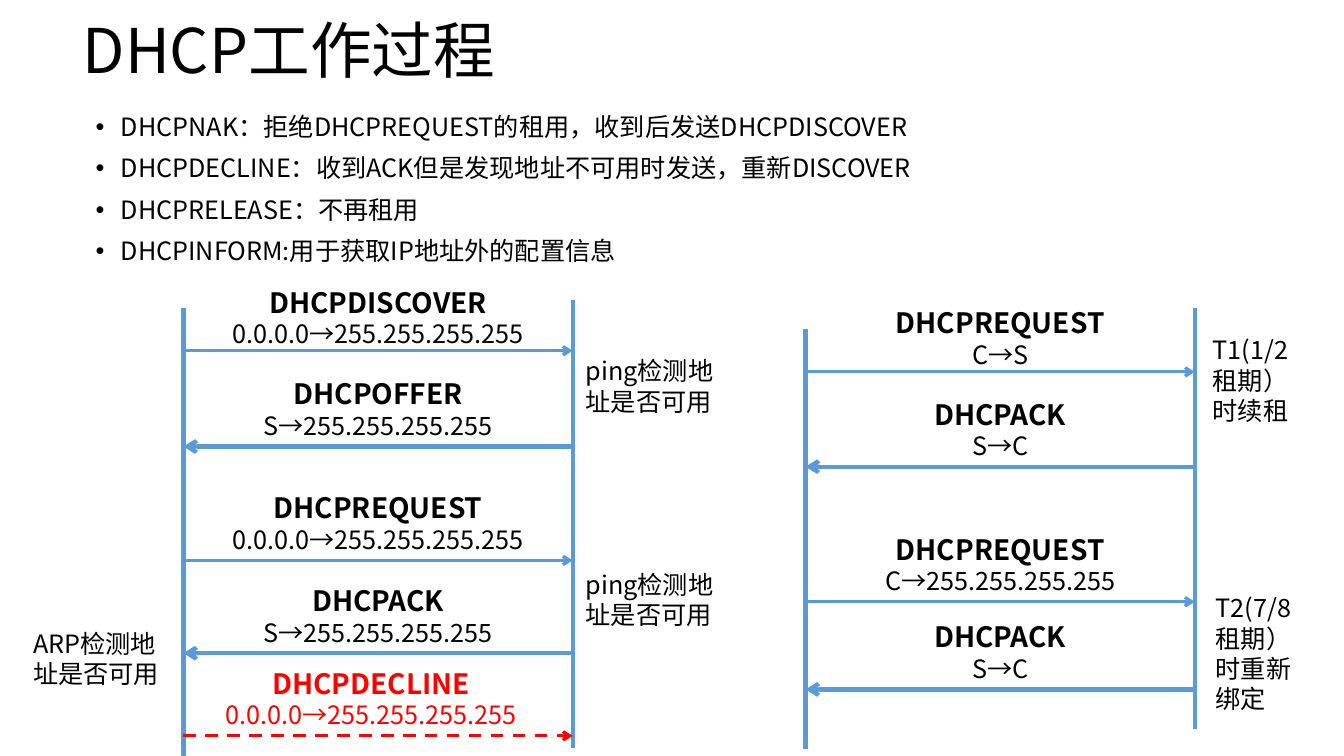
from lxml.etree import SubElement
from pptx import Presentation
from pptx.dml.color import RGBColor as RGB
from pptx.enum.dml import MSO_LINE as Dash
from pptx.enum.shapes import MSO_CONNECTOR as Conn
from pptx.enum.text import MSO_ANCHOR as Anchor, PP_ALIGN as Align
from pptx.oxml.ns import qn
from pptx.util import Inches, Pt

FONT = "Noto Sans CJK SC"
COLORS = {"text": "000000", "line": "5B9BD5", "alert": "FF0000"}
TITLE = "DHCP工作过程"
BULLETS = [
    "DHCPNAK：拒绝DHCPREQUEST的租用，收到后发送DHCPDISCOVER",
    "DHCPDECLINE：收到ACK但是发现地址不可用时发送，重新DISCOVER",
    "DHCPRELEASE：不再租用",
    "DHCPINFORM:用于获取IP地址外的配置信息",
]
BROADCAST = "0.0.0.0→255.255.255.255"
SEQUENCES = [
    {"client": (7.99, 3.26), "server": (11.85, 3.06), "length": 4.17, "messages": [
        ("DHCPREQUEST", "C→S", 3.69, "right"),
        ("DHCPACK", "S→C", 4.63, "left"),
        ("DHCPREQUEST", "C→255.255.255.255", 5.97, "right"),
        ("DHCPACK", "S→C", 6.84, "left"),
    ]},
    {"client": (1.82, 3.06), "server": (5.68, 2.98), "length": 4.44, "messages": [
        ("DHCPDISCOVER", BROADCAST, 3.48, "right"),
        ("DHCPOFFER", "S→255.255.255.255", 4.43, "left"),
        ("DHCPREQUEST", BROADCAST, 5.56, "right"),
        ("DHCPACK", "S→255.255.255.255", 6.48, "left"),
        ("DHCPDECLINE", BROADCAST, 7.3, "alert"),
    ]},
]
LABEL_TOPS = {3.69: 2.98, 3.48: 2.78}
LABEL_W, LABEL_H = 3.7, 0.74
NOTES = [
    ("T1(1/2租期）时续租", 11.93, 3.27, 1.02, 1.01),
    ("T2(7/8租期）时重新绑定", 11.96, 5.83, 1.02, 1.31),
    ("ping检测地址是否可用", 5.71, 3.48, 1.52, 0.71),
    ("ping检测地址是否可用", 5.71, 5.6, 1.52, 0.71),
    ("ARP检测地址是否可用", 0.23, 6.18, 1.52, 0.71),
]


def write(p, text, size=18, color="text", bold=False, align=Align.LEFT, spacing=None):
    p.alignment = align
    if spacing:
        p.line_spacing = spacing
    r = p.add_run()
    r.text = text
    r.font.name = FONT
    r.font.size = Pt(size)
    r.font.bold = bold
    r.font.color.rgb = RGB.from_string(COLORS[color])
    SubElement(r.font._element, qn("a:ea")).set("typeface", FONT)


def add_box(s, *box):
    tf = s.shapes.add_textbox(*map(Inches, box)).text_frame
    tf.word_wrap = True
    return tf


def add_line(s, x1, y1, x2, y2, color="line", width=3, arrow=False, dashed=False):
    c = s.shapes.add_connector(Conn.STRAIGHT, *map(Inches, (x1, y1, x2, y2)))
    c.line.color.rgb = RGB.from_string(COLORS[color])
    c.line.width = Pt(width)
    if dashed:
        c.line.dash_style = Dash.DASH
    if arrow:
        SubElement(c.line._get_or_add_ln(), qn("a:tailEnd")).set("type", "arrow")
    SubElement(c._element.spPr, qn("a:effectLst"))


def add_bullets(s):
    tf = add_box(s, 0.85, 1.09, 9.15, 1.24)
    for i, text in enumerate(BULLETS):
        p = tf.paragraphs[0] if i == 0 else tf.add_paragraph()
        pPr = p._p.get_or_add_pPr()
        pPr.set("marL", str(Inches(0.25)))
        pPr.set("indent", str(-Inches(0.25)))
        if i:
            p.space_before = Pt(10)
        p.line_spacing = 0.9
        SubElement(pPr, qn("a:buFont")).set("typeface", "Arial")
        SubElement(pPr, qn("a:buChar")).set("char", "•")
        write(p, text)


def add_sequence(s, client, server, length, messages):
    for x, top in (client, server):
        add_line(s, x, top, x, top + length)
    left, right = client[0], server[0]
    label_x = (left + right - LABEL_W) / 2
    for name, route, y, kind in messages:
        alert = kind == "alert"
        color = "alert" if alert else "text"
        top = LABEL_TOPS.get(y, y - LABEL_H)
        tf = add_box(s, label_x - (0.07 if alert else 0), top, LABEL_W, LABEL_H)
        write(tf.paragraphs[0], name, 20, color, True, Align.CENTER)
        write(tf.add_paragraph(), route, 18, color, align=Align.CENTER)
        start, end = (right, left) if kind == "left" else (left, right)
        add_line(s, start, y, end, y, "alert" if alert else "line",
                 3 if kind == "left" else 2.25, True, alert)


def main():
    prs = Presentation()
    prs.slide_width, prs.slide_height = Inches(13.33), Inches(7.5)
    s = prs.slides.add_slide(prs.slide_layouts[5])
    title = s.shapes.title
    title.left, title.top, title.width, title.height = map(Inches, (0.72, 0.15, 11.03, 0.77))
    title.text_frame.vertical_anchor = Anchor.MIDDLE
    write(title.text_frame.paragraphs[0], TITLE, 44, spacing=0.9)
    add_bullets(s)
    for sequence in SEQUENCES:
        add_sequence(s, **sequence)
    for text, *box in NOTES:
        write(add_box(s, *box).paragraphs[0], text)
    prs.save("out.pptx")


if __name__ == "__main__":
    main()
